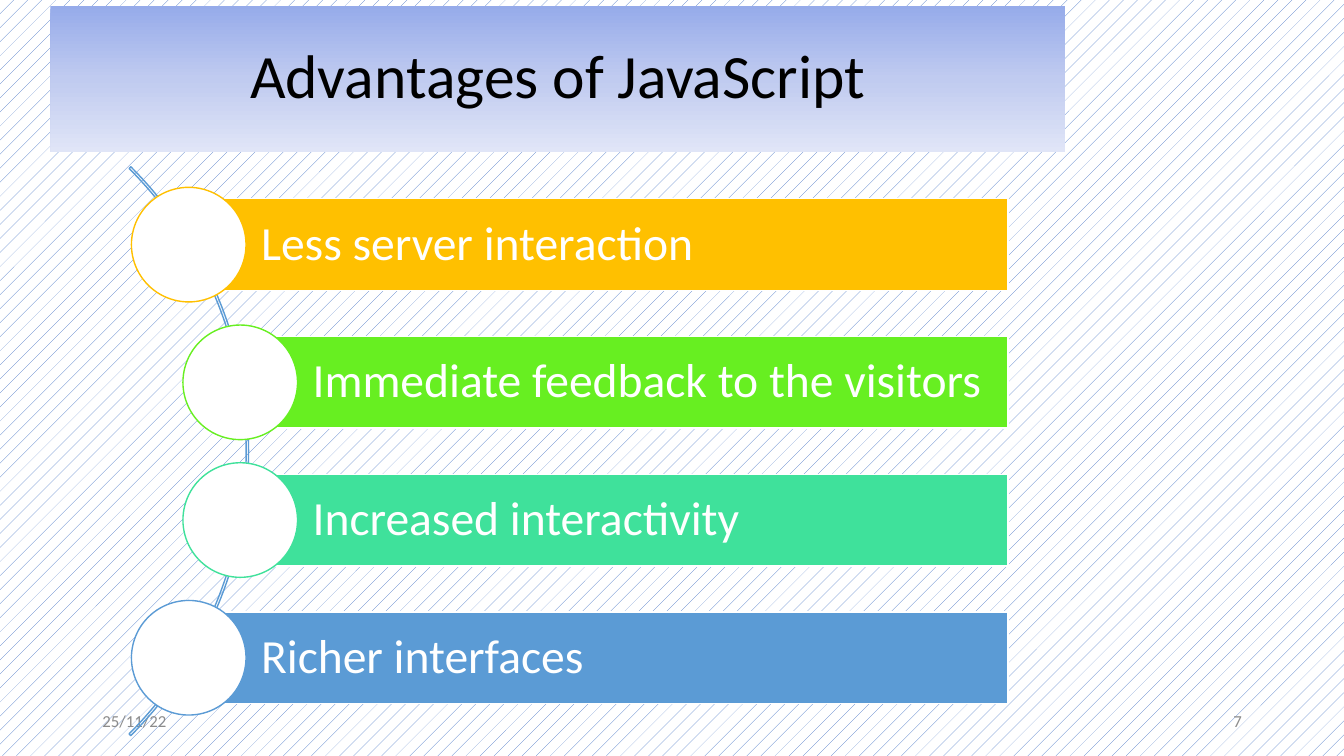
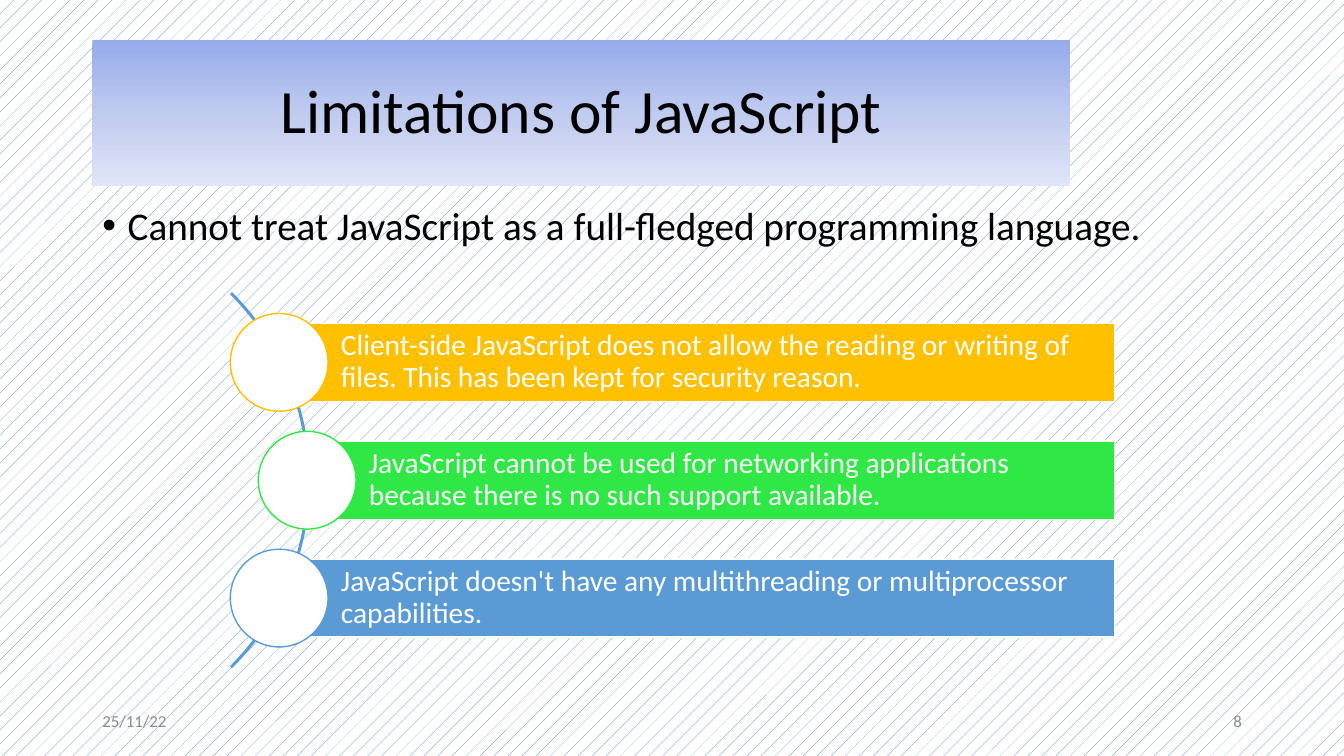
from copy import deepcopy
from math import sqrt

from lxml import etree
from pptx import Presentation
from pptx.dml.color import RGBColor
from pptx.enum.dml import MSO_PATTERN
from pptx.enum.shapes import MSO_SHAPE
from pptx.enum.text import MSO_ANCHOR, MSO_AUTO_SIZE, PP_ALIGN
from pptx.oxml.ns import qn
from pptx.util import Cm, Pt

RECT, OVAL, ARC = MSO_SHAPE.RECTANGLE, MSO_SHAPE.OVAL, MSO_SHAPE.BLOCK_ARC
LEFT, CENTER, RIGHT = PP_ALIGN.LEFT, PP_ALIGN.CENTER, PP_ALIGN.RIGHT
TOP, MIDDLE = MSO_ANCHOR.TOP, MSO_ANCHOR.MIDDLE
NO_FIT = MSO_AUTO_SIZE.NONE
DOTS = MSO_PATTERN.PERCENT_5

FONT = "Calibri"
BLACK, WHITE, GREY = "000000", "FFFFFF", "8C8C8C"
BLUE, AMBER = "5B9BD5", "FFC000"
PATTERN_BLUE = "4472C4"
TITLE_GRADIENT = [(0, "96ABEA"), (0.5, "C0CBF0"), (1, "E0E5F7")]
DATE = "25/11/22"


def rgb(value):
    return RGBColor.from_string(value)


def write(sp, text, size=12, color=BLACK, align=LEFT, anchor=MIDDLE,
          spacing=1.0, before=0, insets=None, bullet=None):
    tf = sp.text_frame
    tf.word_wrap = True
    tf.auto_size = NO_FIT
    tf.vertical_anchor = anchor
    if insets:
        tf.margin_left, tf.margin_top, tf.margin_right, tf.margin_bottom = (
            Cm(v) for v in insets)
    p = tf.paragraphs[0]
    p.alignment = align
    p.line_spacing = spacing
    p.space_before = Pt(before)
    if bullet:
        pPr = p._p.get_or_add_pPr()
        indent = Cm(0.64)
        pPr.set("marL", str(indent))
        pPr.set("indent", str(-indent))
        etree.SubElement(pPr, qn("a:buFont")).set("typeface", "Arial")
        etree.SubElement(pPr, qn("a:buChar")).set("char", bullet)
    r = p.add_run()
    r.text = text
    r.font.name = FONT
    r.font.size = Pt(size)
    r.font.color.rgb = rgb(color)


class Deck:
    def __init__(self):
        self.prs = Presentation()
        self.prs.slide_width, self.prs.slide_height = Cm(33.87), Cm(19.05)
        fill = self.prs.slide_master.background.fill
        fill.patterned()
        fill.pattern = DOTS
        fill.fore_color.rgb = rgb(PATTERN_BLUE)
        fill.back_color.rgb = rgb(WHITE)
        self.s = None

    def slide(self, number):
        self.s = self.prs.slides.add_slide(self.prs.slide_layouts[5])
        self.text(DATE, 2.33, 17.66, 7.62, 1.01, color=GREY)
        self.text(str(number), 23.93, 17.66, 7.62, 1.01, color=GREY, align=RIGHT)

    def title(self, text, x, y, w):
        sp = self.s.shapes.title
        sp.left, sp.top, sp.width, sp.height = Cm(x), Cm(y), Cm(w), Cm(3.68)
        sp.fill.gradient()
        sp.fill.gradient_angle = 270
        stops = sp._element.spPr.find(".//" + qn("a:gsLst"))
        stops.insert(1, deepcopy(stops[0]))
        for stop, (position, color) in zip(sp.fill.gradient_stops, TITLE_GRADIENT):
            stop.position = position
            stop.color.rgb = rgb(color)
        write(sp, text, size=44, align=CENTER, spacing=0.9)

    def text(self, text, x, y, w, h, **fmt):
        sp = self.s.shapes.add_textbox(Cm(x), Cm(y), Cm(w), Cm(h))
        write(sp, text, **fmt)

    def shape(self, kind, x, y, w, h, fill=None, line=WHITE):
        sp = self.s.shapes.add_shape(kind, Cm(x), Cm(y), Cm(w), Cm(h))
        sp.shadow.inherit = False
        if fill:
            sp.fill.solid()
            sp.fill.fore_color.rgb = rgb(fill)
        else:
            sp.fill.background()
        sp.line.color.rgb = rgb(line)
        sp.line.width = Pt(1)
        return sp

    def curved_list(self, items, cx, cy, arc, pitch, bar, right, size):
        sp = self.shape(ARC, cx - arc / 2, cy - arc / 2, arc, arc, line=BLUE)
        sp.adjustments[0] = 189
        sp.adjustments[1] = 27
        sp.adjustments[2] = 0.003
        radius = arc / 2 - 0.06
        circle = 1.25 * bar
        inset = 0.007 * size
        for i, (text, color) in enumerate(items):
            dy = (i - (len(items) - 1) / 2) * pitch
            x, y = cx + sqrt(radius ** 2 - dy ** 2), cy + dy
            sp = self.shape(RECT, x, y - bar / 2, right - x, bar, fill=color)
            write(sp, text, size=size, color=WHITE, spacing=0.9,
                  insets=(0.79 * bar, inset, inset, inset))
            self.shape(OVAL, x - circle / 2, y - circle / 2, circle, circle,
                       fill=WHITE, line=color)


def main():
    deck = Deck()

    deck.slide(7)
    deck.title("Advantages of JavaScript", 1.27, 0.15, 25.58)
    deck.curved_list([
        ("Less server interaction", AMBER),
        ("Immediate feedback to the visitors", "67EF21"),
        ("Increased interactivity", "3FE19B"),
        ("Richer interfaces", BLUE),
    ], cx=-3.87, cy=11.37, arc=20.27, pitch=3.47, bar=2.31, right=25.4, size=34)

    deck.slide(8)
    deck.title("Limitations of JavaScript", 2.33, 1.02, 24.64)
    deck.text("Cannot treat JavaScript as a full-fledged programming language.",
              2.33, 5.08, 29.21, 12.09, size=28, anchor=TOP, spacing=0.9,
              before=10, bullet="•")
    deck.curved_list([
        ("Client-side JavaScript does not allow the reading or writing of files. "
         "This has been kept for security reason.", AMBER),
        ("JavaScript cannot be used for networking applications because there "
         "is no such support available.", "30E845"),
        ("JavaScript doesn't have any multithreading or multiprocessor "
         "capabilities.", BLUE),
    ], cx=1.13, cy=12.1, arc=13.34, pitch=2.97, bar=1.97, right=28.09, size=21)

    deck.prs.save("out.pptx")


if __name__ == "__main__":
    main()
